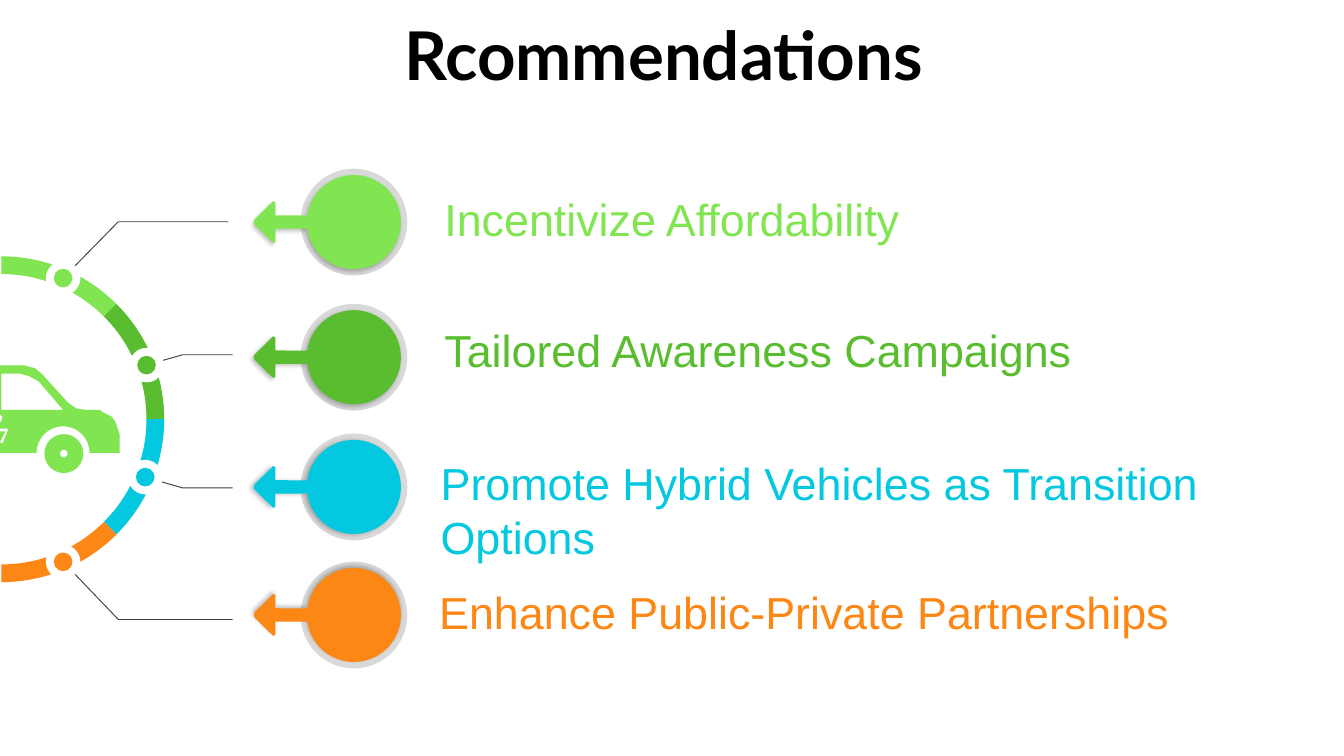
import math
from collections import namedtuple

from lxml import etree
from pptx import Presentation, util as u
from pptx.dml.color import RGBColor
from pptx.enum import shapes, text
from pptx.oxml.ns import qn

Recommendation = namedtuple(
    "Recommendation", "label color node bend leader_end marker_y shadow_angle text_box")

RECOMMENDATIONS = [
    Recommendation("Incentivize Affordability", "81E552", (33.8, 149), (63.4, 118.8),
                   122.4, 119, 120, (231, 99.4, 335, 36)),
    Recommendation("Tailored Awareness Campaigns", "59BD2F", (78.5, 195.6), (97.9, 190.1),
                   124.6, 191.4, 137, (231, 169.2, 430.5, 36)),
    Recommendation("Promote Hybrid Vehicles as Transition Options", "03C8DF",
                   (77.8, 255.6), (97.9, 261.4), 124.6, 260.9, 168, (229, 240.5, 489.6, 65.5)),
    Recommendation("Enhance Public-Private Partnerships", "FD8714", (33.8, 301),
                   (63.4, 331.9), 124.6, 329.5, 253, (228.2, 309.6, 490.3, 36)),
]
RING_CENTER = (0.7, 224.6)
RING_RADII = (87.3, 77.8)
MARKER_X = 189.6
CAR_COLOR = "81E552"

CAR_REAR = [(-20.2, 195.8), (-26.6, 198), (-30.2, 199.4), (-31.7, 203), (-37.4, 213.1),
            (-39.6, 216), (-43.2, 218.2), (-49.7, 219.6), (-54.7, 221), (-59, 223.2),
            (-61.9, 228.2), (-62.6, 232.6), (-62.6, 242.6)]
CAR_FRONT = [(64.1, 242.6), (64.1, 232.6), (61.9, 226.1), (59.8, 223.2), (55.4, 221),
             (53.3, 219.6), (46.1, 219.6), (41, 218.9), (36.7, 216), (22.3, 200.2),
             (18.7, 197.3), (13, 195.8)]
CAR_WINDOW = [(0.7, 200.2), (10.8, 200.2), (15.8, 201.6), (20.9, 204.5), (33.8, 219.6),
              (0.7, 219.6)]
CAR_BOLT = [(0.7, 222.5), (1.4, 223.9), (-1.4, 229.7), (4.3, 229.7), (4.3, 230.4),
            (1.4, 237.6), (0, 236.9), (2.9, 231.1), (-2.9, 231.1), (0, 222.5)]


def rgb(color):
    return RGBColor.from_string(color)


def arc_points(center, radius, start, end, steps=24):
    angles = [math.radians(start + (end - start) * i / steps) for i in range(steps + 1)]
    return [(center[0] + radius * math.cos(a), center[1] + radius * math.sin(a))
            for a in angles]


def paint(shape, color):
    shape.shadow.inherit = False
    shape.fill.solid()
    shape.fill.fore_color.rgb = rgb(color)
    shape.line.fill.background()


def build_outline(slide, contours, closed=True):
    contours = [[(u.Pt(x), u.Pt(y)) for x, y in contour] for contour in contours]
    builder = slide.shapes.build_freeform(*contours[0][0])
    builder.add_line_segments(contours[0][1:], close=closed)
    for contour in contours[1:]:
        builder.move_to(*contour[0])
        builder.add_line_segments(contour[1:], close=closed)
    return builder.convert_to_shape()


def add_outline(slide, contours, color):
    shape = build_outline(slide, contours)
    paint(shape, color)
    return shape


def add_round(slide, kind, center, diameter, color):
    left, top = (value - diameter / 2 for value in center)
    shape = slide.shapes.add_shape(
        kind, u.Pt(left), u.Pt(top), u.Pt(diameter), u.Pt(diameter))
    paint(shape, color)
    return shape


def add_leader(slide, points):
    shape = build_outline(slide, [points], closed=False)
    shape.shadow.inherit = False
    shape.fill.background()
    shape.line.color.rgb = rgb("444040")
    shape.line.width = u.Pt(0.52)


def add_shadow(shape, angle):
    effects = shape._element.spPr.find(qn("a:effectLst"))
    shadow = etree.SubElement(
        effects, qn("a:outerShdw"), blurRad=str(u.Pt(2.2)), dist=str(u.Pt(1.5)),
        dir=str(angle * 60000), algn="ctr", rotWithShape="0")
    shade = etree.SubElement(shadow, qn("a:srgbClr"), val="000000")
    etree.SubElement(shade, qn("a:alpha"), val="24000")


def add_text(slide, content, box, size=24, font="Arial", color="000000", bold=False,
             align=text.PP_ALIGN.LEFT, margin=3.6):
    frame = slide.shapes.add_textbox(*(u.Pt(value) for value in box)).text_frame
    frame.word_wrap = True
    frame.margin_top = frame.margin_bottom = u.Pt(margin)
    paragraph = frame.paragraphs[0]
    paragraph.alignment = align
    run = paragraph.add_run()
    run.text = content
    run.font.size = u.Pt(size)
    run.font.name = font
    run.font.bold = bold
    run.font.color.rgb = rgb(color)


def add_ring_segment(slide, index, item):
    start = -90 + 45 * index
    outer, inner = RING_RADII
    add_outline(slide, [arc_points(RING_CENTER, outer, start, start + 45)
                        + arc_points(RING_CENTER, inner, start + 45, start)], item.color)


def add_node(slide, item):
    for diameter, color in ((18.5, "FFFFFF"), (10, item.color)):
        add_round(slide, shapes.MSO_SHAPE.OVAL, item.node, diameter, color)


def add_marker(slide, item):
    center = (MARKER_X, item.marker_y)
    add_round(slide, shapes.MSO_SHAPE.OVAL, center, 57.2, "D9D9D9")
    head = [(-42, -3.6), (-42, -10.6), (-43.2, -11.2), (-53.2, -1.4), (-53.6, 0),
            (-53.2, 1.4), (-43.2, 11.2), (-42, 10.6), (-42, 3.6)]
    arrow = [(MARKER_X + x, item.marker_y - y) for x, y in head]
    circle = arc_points(center, 25.2, -172, 172, 72)
    marker = add_outline(slide, [circle + arrow], item.color)
    add_shadow(marker, item.shadow_angle)


def add_car(slide):
    rear_arch = arc_points((-33.1, 242.6), 14, 180, 360)
    front_arch = arc_points((33.8, 242.6), 14.2, 180, 360)
    body = CAR_REAR + rear_arch + front_arch + CAR_FRONT
    add_outline(slide, [body, CAR_WINDOW, CAR_BOLT], CAR_COLOR)
    wheel = add_round(slide, shapes.MSO_SHAPE.DONUT, (34.2, 243), 20.9, CAR_COLOR)
    wheel.adjustments[0] = 0.4


def main():
    presentation = Presentation()
    presentation.slide_width = u.Pt(720)
    presentation.slide_height = u.Pt(405)
    slide = presentation.slides.add_slide(presentation.slide_layouts[6])

    add_text(slide, "Rcommendations ", (36, 0, 648, 54.7), size=36, font="Lato",
             bold=True, align=text.PP_ALIGN.CENTER, margin=7.2)
    for item in RECOMMENDATIONS:
        add_leader(slide, [item.node, item.bend, (item.leader_end, item.bend[1])])
    for index, item in enumerate(RECOMMENDATIONS):
        add_ring_segment(slide, index, item)
    for item in RECOMMENDATIONS:
        add_node(slide, item)
        add_marker(slide, item)
        add_text(slide, item.label, item.text_box, color=item.color)
    add_car(slide)
    presentation.save("out.pptx")


if __name__ == "__main__":
    main()
